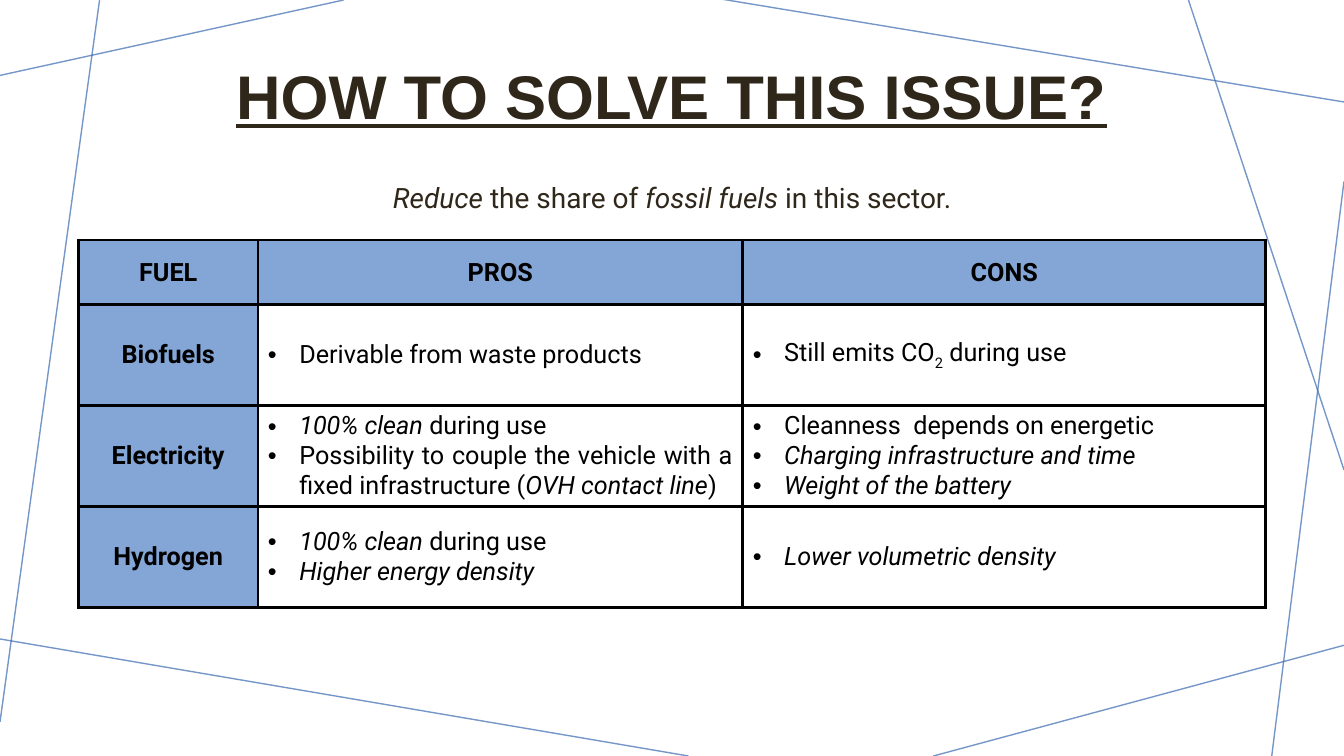
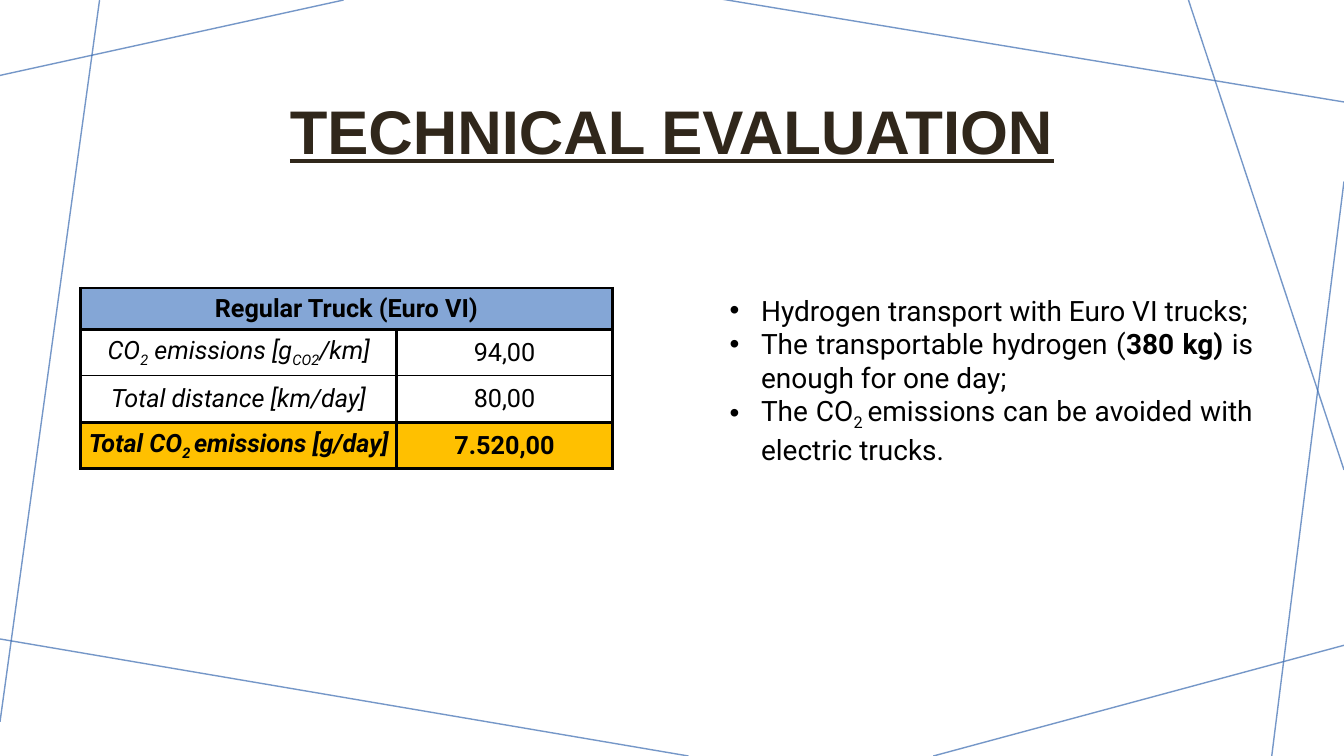
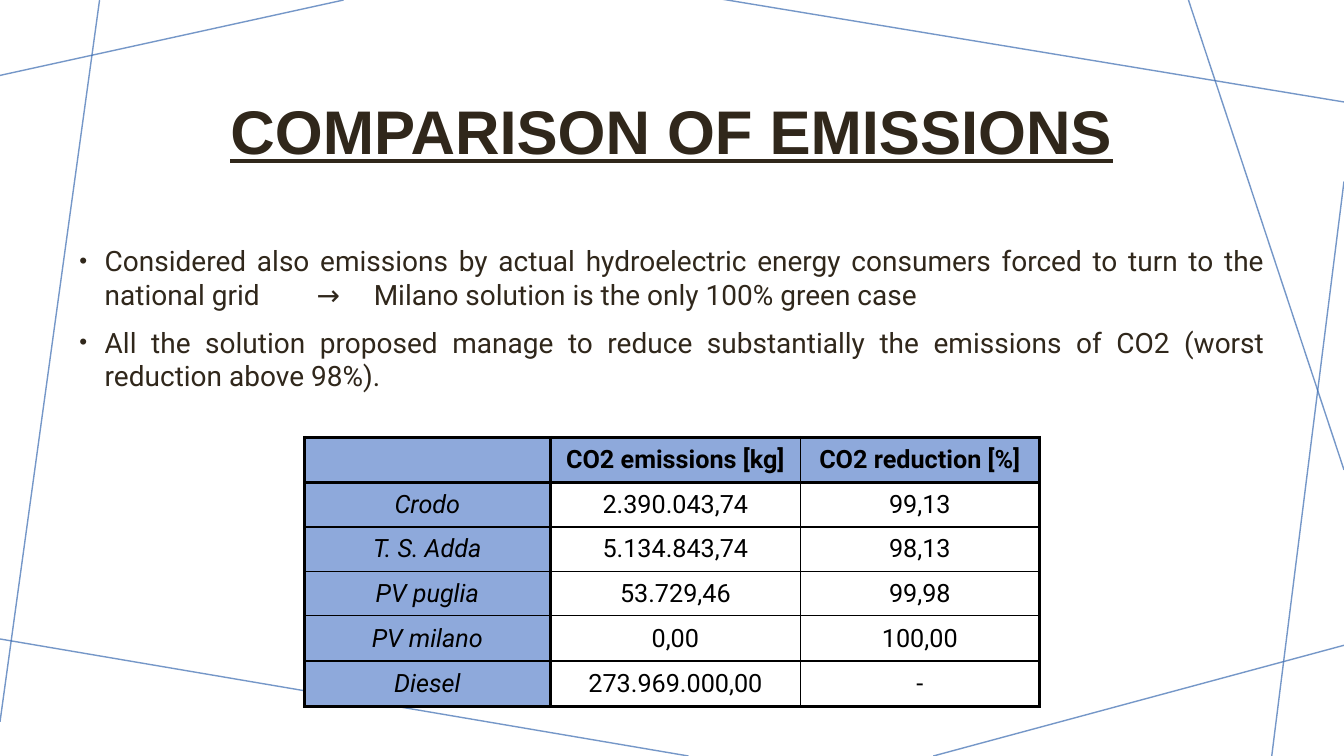
from lxml import etree
from pptx import Presentation
from pptx.dml.color import RGBColor
from pptx.enum.shapes import MSO_CONNECTOR
from pptx.enum.text import MSO_ANCHOR, PP_ALIGN
from pptx.oxml.ns import qn
from pptx.util import Cm, Pt

STRAIGHT = MSO_CONNECTOR.STRAIGHT
TOP, MIDDLE = MSO_ANCHOR.TOP, MSO_ANCHOR.MIDDLE
CENTER, JUSTIFY = PP_ALIGN.CENTER, PP_ALIGN.JUSTIFY

WIDTH, HEIGHT = 33.87, 19.05
BLACK, BROWN, LINE_BLUE = "000000", "30271B", "3B6CB1"
HEADER_BLUE, PALE_BLUE, AMBER = "84A6D6", "8EA9DB", "FFC000"
TITLE_FONT, BODY_FONT = "Arial", "Roboto"
THICK, THIN = 2.25, 1

BACKGROUND_LINES = [
    ((8.66, 0), (0, 1.9)),
    ((2.51, 0), (0, 18.19)),
    ((17.35, HEIGHT), (-0.13, 16.08)),
    ((WIDTH, 16.26), (23.52, HEIGHT)),
    ((WIDTH, 4.57), (32.05, HEIGHT)),
    ((WIDTH, 11.84), (29.95, 0)),
    ((WIDTH, 2.57), (18.14, -0.03)),
]

HIGH_TITLE = (3.18, 1.12, 27.5, 2.77)
LOW_TITLE = (3.18, 1.47, 27.5, 3.84)

FUEL_GOAL = [[("Reduce", "i"), (" the share of ", ""), ("fossil fuels ", "i"), ("in this sector.", "")]]
CLEAN_USE = [("100% clean ", "i"), ("during use", "")]
FUEL_ROWS = [
    ["FUEL", "PROS", "CONS"],
    [
        "Biofuels",
        ["Derivable from waste products"],
        [[("Still emits CO", ""), ("2", "s"), (" during use", "")]],
    ],
    [
        "Electricity",
        [
            CLEAN_USE,
            [
                ("Possibility to couple the vehicle with a fixed infrastructure (", ""),
                ("OVH contact line", "i"),
                (")", ""),
            ],
        ],
        [
            "Cleanness  depends on energetic",
            [("Charging infrastructure and time", "i")],
            [("Weight of the battery", "i")],
        ],
    ],
    [
        "Hydrogen",
        [CLEAN_USE, [("Higher energy density", "i")]],
        [[("Lower volumetric density", "i")]],
    ],
]

TRUCK_ROWS = [
    ["Regular Truck (Euro VI)", ""],
    [[[("CO", "i"), ("2", "is"), (" emissions [g", "i"), ("CO2", "is"), ("/km]", "i")]], "94,00"],
    ["Total distance [km/day]", "80,00"],
    [[[("Total CO", "bi"), ("2 ", "bis"), ("emissions [g/day]", "bi")]], "7.520,00"],
]
TRUCK_NOTES = [
    "Hydrogen transport with Euro VI trucks;",
    [("The transportable hydrogen (", ""), ("380 kg) ", "b"), ("is enough for one day;", "")],
    [("The CO", ""), ("2 ", "s"), ("emissions can be avoided with electric trucks.", "")],
]

EMISSION_NOTES = [
    "Considered also emissions by actual hydroelectric energy consumers forced to turn to the "
    "national grid\t→\tMilano solution is the only 100% green case",
    "All the solution proposed manage to reduce substantially the emissions of CO2 "
    "(worst reduction above 98%).",
]
EMISSION_ROWS = [
    ["", "CO2 emissions [kg]", "CO2 reduction [%]"],
    ["Crodo", "2.390.043,74", "99,13"],
    ["T. S. Adda", "5.134.843,74", "98,13"],
    ["PV puglia", "53.729,46", "99,98"],
    ["PV milano", "0,00", "100,00"],
    ["Diesel", "273.969.000,00", "-"],
]


def rgb(color):
    return RGBColor.from_string(color)


def add_child(parent, tag, **attributes):
    child = etree.SubElement(parent, qn(tag))
    for name, value in attributes.items():
        child.set(name, str(value))
    return child


def write(frame, paragraphs, *, size=18, font=BODY_FONT, color=BLACK, style="", align=CENTER,
          bullet_indent=0, bullet_size=100, before=0, spacing=None, tabs=()):
    frame.word_wrap = True
    for index, content in enumerate(paragraphs):
        para = frame.add_paragraph() if index else frame.paragraphs[0]
        properties = para._p.get_or_add_pPr()
        if bullet_indent:
            properties.set("marL", str(Cm(bullet_indent)))
            properties.set("indent", str(-Cm(bullet_indent)))
            add_child(properties, "a:buSzPct", val=bullet_size * 1000)
            add_child(properties, "a:buFont", typeface="Arial")
            add_child(properties, "a:buChar", char="•")
        if tabs:
            tab_list = add_child(properties, "a:tabLst")
            for position in tabs:
                add_child(tab_list, "a:tab", pos=Cm(position), algn="l")
        para.alignment = align
        para.line_spacing = spacing
        para.space_before = Pt(before if index else 0)
        para.font.size = Pt(size)
        spans = [(content, style)] if isinstance(content, str) else content
        for text, marks in spans:
            span = para.add_run()
            span.text = text
            span.font.name = font
            span.font.size = Pt(size)
            span.font.color.rgb = rgb(color)
            span.font.bold = "b" in marks
            span.font.italic = "i" in marks
            span.font.underline = "u" in marks
            if "s" in marks:
                span._r.get_or_add_rPr().set("baseline", "-25000")


def add_text(page, place, paragraphs, anchor=TOP, **text_format):
    box = page.shapes.add_textbox(*map(Cm, place))
    box.text_frame.vertical_anchor = anchor
    write(box.text_frame, paragraphs, **text_format)


def add_page(deck, layout, title, place):
    page = deck.slides.add_slide(layout)
    add_text(page, place, [title], MIDDLE, size=44, font=TITLE_FONT, color=BROWN,
             style="bu", spacing=0.9)
    return page


def add_background(page, layout):
    for placeholder in list(layout.placeholders):
        layout.shapes.element.remove(placeholder.element)
    connectors = []
    for start, end in BACKGROUND_LINES:
        connector = page.shapes.add_connector(STRAIGHT, *map(Cm, start + end))
        connector.line.width = Pt(1)
        connector.line.color.rgb = rgb(LINE_BLUE)
        properties = connector.element.spPr
        add_child(next(properties.iter(qn("a:srgbClr"))), "a:alpha", val=70000)
        add_child(properties, "a:effectLst")
        connectors.append(connector.element)
    for element in connectors:
        layout.shapes.element.append(element)


def set_borders(cell, widths):
    properties = cell._tc.get_or_add_tcPr()
    for side, width in zip("LRTB", widths):
        border = add_child(properties, f"a:ln{side}", w=Pt(width))
        add_child(add_child(border, "a:solidFill"), "a:srgbClr", val=BLACK)


def add_grid(page, corner, columns, heights, rows, look, thin_rows=(), thin_columns=(), padded=False):
    size = (sum(columns), sum(heights))
    frame = page.shapes.add_table(len(rows), len(columns), *map(Cm, corner + size))
    table = frame.table
    table.first_row = table.horz_banding = False
    for column, width in zip(table.columns, columns):
        column.width = Cm(width)
    for row, height in zip(table.rows, heights):
        row.height = Cm(height)
    for r, row in enumerate(rows):
        for c, content in enumerate(row):
            cell = table.cell(r, c)
            edges = [THIN if c + step in thin_columns else THICK for step in (0, 1)]
            edges += [THIN if r + step in thin_rows else THICK for step in (0, 1)]
            set_borders(cell, edges)
            fill, style = look(r, c)
            if fill:
                cell.fill.solid()
                cell.fill.fore_color.rgb = rgb(fill)
            else:
                cell.fill.background()
            cell.vertical_anchor = MIDDLE
            if not padded:
                cell.margin_left = cell.margin_right = cell.margin_top = cell.margin_bottom = 0
            bulleted = padded and not isinstance(content, str)
            paragraphs = [content] if isinstance(content, str) else content
            write(cell.text_frame, paragraphs, style=style,
                  align=JUSTIFY if bulleted else CENTER, bullet_indent=0.79 if bulleted else 0)
    return table


def fuel_look(row, column):
    return (HEADER_BLUE, "b") if row == 0 or column == 0 else (None, "")


def truck_look(row, column):
    if row == 0:
        return HEADER_BLUE, "b"
    if row == len(TRUCK_ROWS) - 1:
        return AMBER, "b"
    return None, "" if column else "i"


def emission_look(row, column):
    if row == 0:
        return PALE_BLUE, "b"
    return (None, "") if column else (PALE_BLUE, "i")


def main():
    deck = Presentation()
    deck.slide_width, deck.slide_height = Cm(WIDTH), Cm(HEIGHT)
    layout = deck.slide_layouts[6]

    fuels = add_page(deck, layout, "HOW TO SOLVE THIS ISSUE?", HIGH_TITLE)
    add_background(fuels, layout)
    add_text(fuels, (3.63, 4.42, 26.62, 1.12), FUEL_GOAL, size=20, color=BROWN)
    add_grid(fuels, (1.98, 6.05), (4.52, 12.22, 13.18), (1.63, 2.54, 2.54, 2.54),
             FUEL_ROWS, fuel_look, padded=True)

    trucks = add_page(deck, layout, "TECHNICAL EVALUATION", LOW_TITLE)
    truck_table = add_grid(trucks, (2.03, 7.26), (7.97, 5.43), (1.04, 1.17, 1.17, 1.17),
                           TRUCK_ROWS, truck_look, thin_rows={2})
    truck_table.cell(0, 0).merge(truck_table.cell(0, 1))
    add_text(trucks, (18.14, 7.26, 13.69, 4.52), TRUCK_NOTES, size=20, align=JUSTIFY,
             bullet_indent=0.79)

    emissions = add_page(deck, layout, "COMPARISON OF EMISSIONS", LOW_TITLE)
    add_text(emissions, (1.75, 6.02, 30.38, 4.01), EMISSION_NOTES, size=20, color=BROWN,
             align=JUSTIFY, bullet_indent=0.64, bullet_size=80, before=10, tabs=(5.98, 7.42))
    add_grid(emissions, (7.67, 11.02), (6.2, 6.3, 6.02), (1.14, 1.12, 1.12, 1.12, 1.14, 1.14),
             EMISSION_ROWS, emission_look, thin_rows={2, 3, 4}, thin_columns={2})

    deck.save("out.pptx")


if __name__ == "__main__":
    main()
